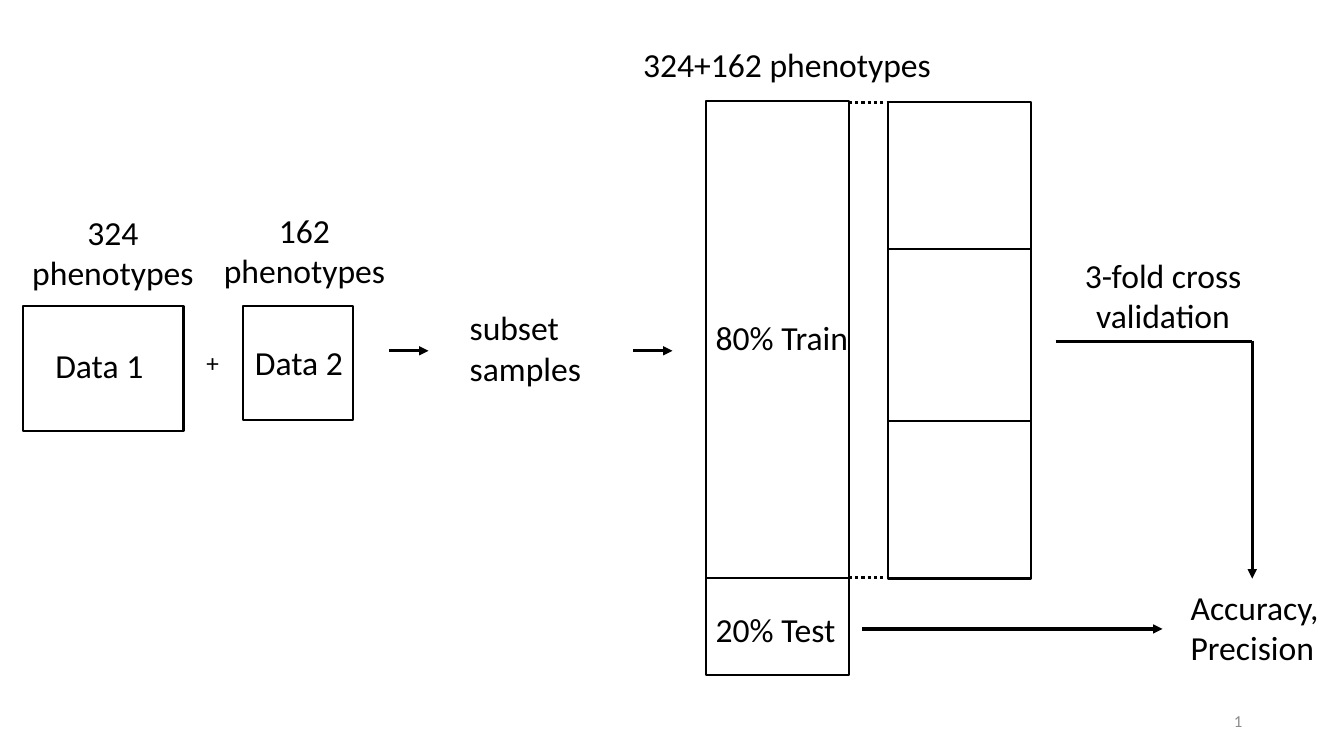
from lxml import etree
from pptx import Presentation
from pptx.dml.color import RGBColor
from pptx.enum.dml import MSO_LINE
from pptx.enum.shapes import MSO_CONNECTOR, MSO_SHAPE
from pptx.enum.text import MSO_ANCHOR, PP_ALIGN
from pptx.oxml.ns import qn
from pptx.util import Pt

PX = 9144  # EMU per px, 100 px to the inch
BLACK, GREY = "000000", "8C8C8C"
LEFT, CENTER, RIGHT = PP_ALIGN.LEFT, PP_ALIGN.CENTER, PP_ALIGN.RIGHT

# Boxes: left, top, width, height
DATA_1 = (23, 304, 159, 124)
DATA_2 = (241, 304, 109, 113)
SAMPLES = (700, 100, 142, 570)
FOLDS = (881, 101, 142, 473)

# Heights of the lines that divide a box
SPLIT_Y = 573
DIVIDERS = [(SAMPLES, SPLIT_Y), (FOLDS, 247), (FOLDS, 418)]

# Dotted links from the training part to the folds
LINK_YS = [102, SPLIT_Y]

# Flow lines: x1, y1, x2, y2, arrowhead
FLOWS = [
    (386, 348, 425, 348, True),
    (628, 348, 667, 348, True),
    (1047, 339, 1242, 339, False),
    (1242, 338, 1242, 574, True),
    (855, 624, 1153, 624, True),
]

# Labels: lines, box, alignment, size, wrap
LABELS = [
    (["324", "phenotypes"], (21, 205, 182, 91), CENTER, 24, False),
    (["162", "phenotypes"], (211, 203, 182, 91), CENTER, 24, False),
    (["Data 1"], (45, 337, 108, 50), LEFT, 24, False),
    (["+"], (195, 340, 33, 40), LEFT, 18, False),
    (["Data 2"], (243, 334, 108, 50), LEFT, 24, False),
    (["subset", "samples"], (456, 300, 132, 91), LEFT, 24, False),
    (["324+162 phenotypes"], (628, 39, 308, 50), LEFT, 24, False),
    (["80% Train"], (700, 309, 153, 50), LEFT, 24, False),
    (["20% Test"], (700, 599, 140, 50), LEFT, 24, False),
    (["3-fold cross validation"], (1004, 248, 299, 91), CENTER, 24, True),
    (["Accuracy,", "Precision"], (1171, 577, 148, 91), LEFT, 24, False),
]
PAGE_NUMBER = (["1"], (942, 695, 300, 40), RIGHT, 12, True)


def rgb(color):
    return RGBColor.from_string(color)


def emu(lengths):
    return [n * PX for n in lengths]


def add_box(slide, box):
    sp = slide.shapes.add_shape(MSO_SHAPE.RECTANGLE, *emu(box))
    sp.shadow.inherit = False
    sp.fill.background()
    sp.line.color.rgb = rgb(BLACK)
    sp.line.width = Pt(1.5)


def add_line(slide, ends, width=2.25, dash=None, arrow=False):
    cxn = slide.shapes.add_connector(MSO_CONNECTOR.STRAIGHT, *emu(ends))
    cxn.line.color.rgb = rgb(BLACK)
    cxn.line.width = Pt(width)
    if dash:
        cxn.line.dash_style = dash
    if arrow:
        etree.SubElement(cxn.line._get_or_add_ln(), qn("a:tailEnd"), type="triangle")
    etree.SubElement(cxn._element.spPr, qn("a:effectLst"))


def add_label(slide, lines, box, align, size, wrap, color=BLACK, anchor=MSO_ANCHOR.TOP):
    tf = slide.shapes.add_textbox(*emu(box)).text_frame
    tf.word_wrap = wrap
    tf.vertical_anchor = anchor
    tf.text = "\n".join(lines)
    for p in tf.paragraphs:
        p.alignment = align
        p.font.name = "Calibri"
        p.font.size = Pt(size)
        p.font.color.rgb = rgb(color)


def main():
    prs = Presentation()
    prs.slide_width, prs.slide_height = emu((1333, 750))
    slide = prs.slides.add_slide(prs.slide_layouts[6])

    # Data sets, samples and folds
    for box in (DATA_1, DATA_2, SAMPLES, FOLDS):
        add_box(slide, box)
    for (left, _, width, _), y in DIVIDERS:
        add_line(slide, (left, y, left + width, y), width=1.5)

    # Dotted links
    for y in LINK_YS:
        ends = (SAMPLES[0] + SAMPLES[2], y, FOLDS[0], y)
        add_line(slide, ends, dash=MSO_LINE.ROUND_DOT)

    # Flow lines
    for *ends, arrow in FLOWS:
        add_line(slide, ends, arrow=arrow)

    # Labels and page number
    for label in LABELS:
        add_label(slide, *label)
    add_label(slide, *PAGE_NUMBER, color=GREY, anchor=MSO_ANCHOR.MIDDLE)

    prs.save("out.pptx")


if __name__ == "__main__":
    main()
